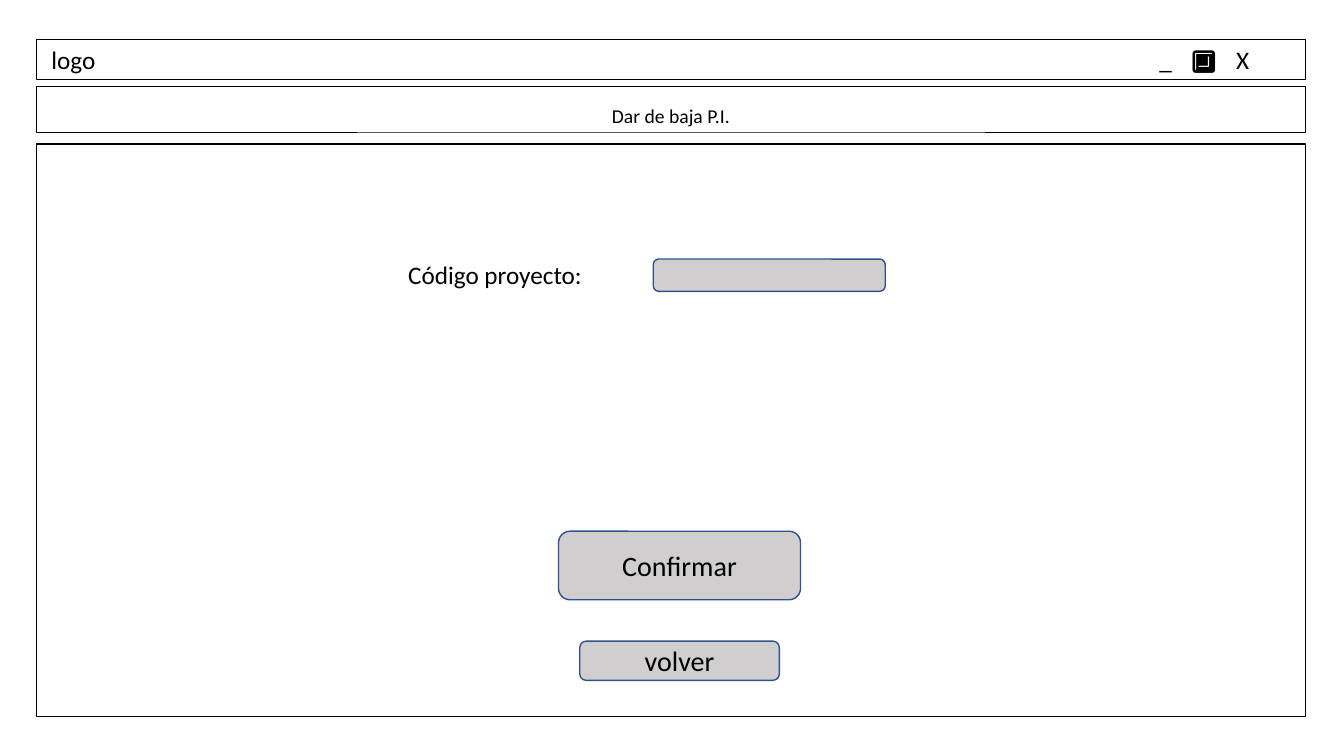
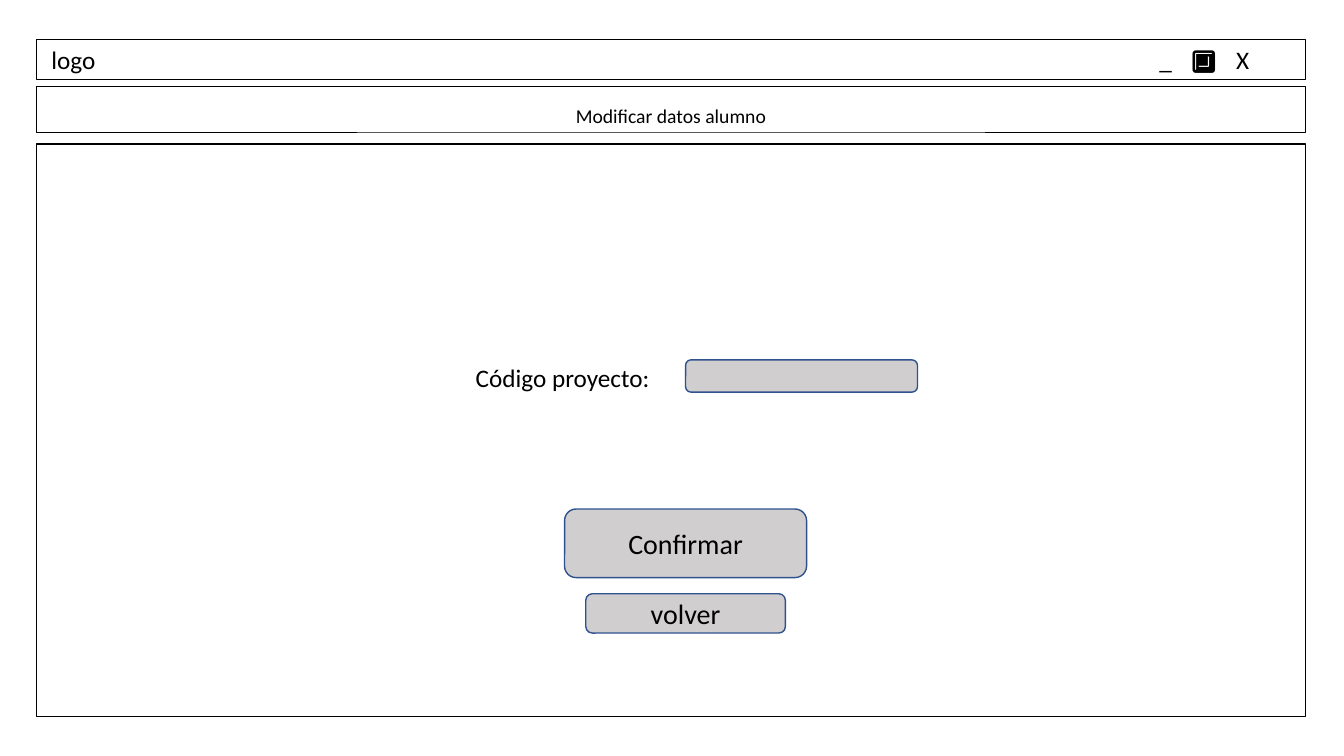
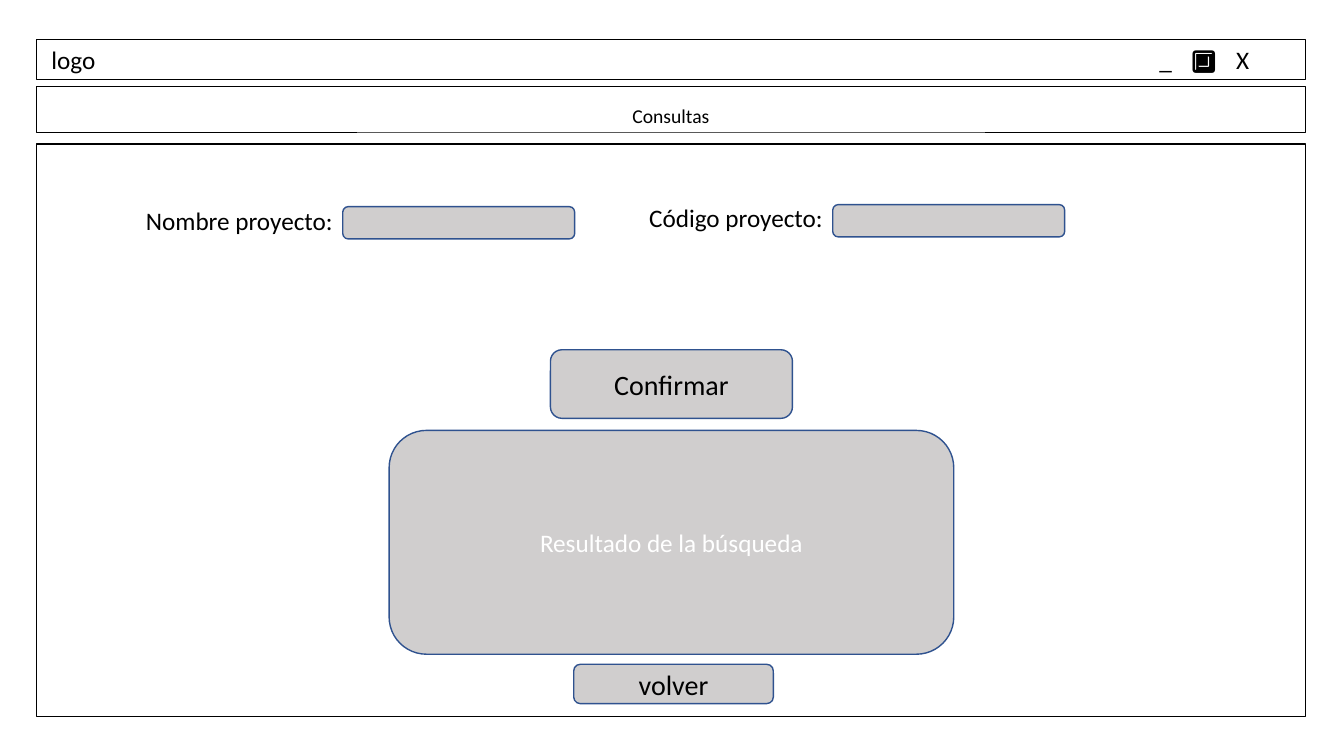
from lxml.etree import SubElement
from pptx import Presentation
from pptx.dml.color import RGBColor
from pptx.enum.shapes import MSO_SHAPE as Preset
from pptx.enum.text import MSO_ANCHOR as Anchor, MSO_AUTO_SIZE as AutoSize, PP_ALIGN as Align
from pptx.oxml.ns import qn
from pptx.util import Inches, Pt

COLORS = {"ink": "000000", "paper": "FFFFFF", "control": "D0CECE", "outline": "2F528F"}
FONT = "Calibri"

WINDOW_LEFT, WINDOW_WIDTH = 0.36, 12.59
BAR_BOX = (WINDOW_LEFT, 0.39, WINDOW_WIDTH, 0.4)
TITLE_BOX = (WINDOW_LEFT, 0.86, WINDOW_WIDTH, 0.45)
FRAME_BOX = (WINDOW_LEFT, 1.43, WINDOW_WIDTH, 5.68)
BAR_TABS = (10.99, 11.31, 11.75)
BAR_TEXT = "logo\t_\t🔲\tX"

LABEL_SIZE = (3.4, 0.4)
FIELD_SIZE = (2.3, 0.32)
CONFIRM_SIZE = (2.4, 0.68)
BACK_SIZE = (1.98, 0.39)
RESULT_BOX = (3.86, 4.27, 5.6, 2.22)

# Each field holds its label, the label position and the input position.
SCREENS = [
    {"title": "Dar de baja P.I.",
     "fields": [("Código proyecto:", (2.47, 2.52), (6.48, 2.57))],
     "confirm": (5.54, 5.27), "back": (5.75, 6.36)},
    {"title": "Modificar datos alumno",
     "fields": [("Código proyecto:", (3.14, 3.55), (6.8, 3.57))],
     "confirm": (5.6, 5.05), "back": (5.81, 5.89)},
    {"title": "Consultas",
     "fields": [("Nombre proyecto:", (0, 1.99), (3.4, 2.05)),
                ("Código proyecto:", (4.86, 1.96), (8.26, 2.03))],
     "confirm": (5.46, 3.47), "back": (5.69, 6.59),
     "result": "Resultado de la búsqueda"},
]


def rgb(name):
    """Return the named colour."""
    return RGBColor.from_string(COLORS[name])


def set_format(target, values):
    """Set each attribute named in values on target."""
    for name, value in values.items():
        setattr(target, name, value)


def write(shape, text, size=18, color="ink", align=Align.LEFT, anchor=Anchor.TOP, spacing=1.0):
    """Put one formatted paragraph in a shape and return the paragraph."""
    frame = shape.text_frame
    set_format(frame, {"text": text, "word_wrap": True, "vertical_anchor": anchor,
                       "auto_size": AutoSize.NONE})
    paragraph = frame.paragraphs[0]
    set_format(paragraph, {"alignment": align, "line_spacing": spacing})
    set_format(paragraph.font, {"name": FONT, "size": Pt(size)})
    paragraph.font.color.rgb = rgb(color)
    return paragraph


def set_outline(shape, color, width):
    """Give a shape a solid outline."""
    shape.line.color.rgb = rgb(color)
    shape.line.width = Pt(width)


def add_box(slide, box, preset=Preset.RECTANGLE, fill=None, line="ink", width=1):
    """Add a flat preset shape, unfilled unless a fill is named."""
    shape = slide.shapes.add_shape(preset, *map(Inches, box))
    shape.shadow.inherit = False
    if fill:
        shape.fill.solid()
        shape.fill.fore_color.rgb = rgb(fill)
    else:
        shape.fill.background()
    set_outline(shape, line, width)
    return shape


def add_control(slide, box, text=None, size=20, color="ink"):
    """Add a rounded grey control, with a centred caption if there is one."""
    control = add_box(slide, box, Preset.ROUNDED_RECTANGLE, "control", "outline")
    if text:
        write(control, text, size, color, Align.CENTER, Anchor.MIDDLE)


def add_label(slide, position, text):
    """Add a right-aligned field label."""
    label = slide.shapes.add_textbox(*map(Inches, position + LABEL_SIZE))
    write(label, text, align=Align.RIGHT)


def add_window_bar(slide):
    """Add the top bar, its window buttons placed by tab stops."""
    bar = add_box(slide, BAR_BOX, width=0.25)
    paragraph = write(bar, BAR_TEXT)
    bar.text_frame.margin_left = Inches(0.15)
    properties = paragraph._p.get_or_add_pPr()
    tab_list = SubElement(properties, qn("a:tabLst"))
    for stop in BAR_TABS:
        SubElement(tab_list, qn("a:tab"), pos=str(Inches(stop)), algn="l")
    # The schema wants tab stops ahead of the default run properties.
    defaults = properties.find(qn("a:defRPr"))
    if defaults is not None:
        defaults.addprevious(tab_list)
    for run in paragraph.runs:
        set_format(run.font, {"name": FONT, "size": Pt(18)})
        run.font.color.rgb = rgb("ink")


def place_title(slide, text):
    """Move the title placeholder into its outlined band."""
    title = slide.shapes.title
    edges = ("left", "top", "width", "height")
    set_format(title, dict(zip(edges, map(Inches, TITLE_BOX))))
    set_outline(title, "ink", 0.25)
    paragraph = write(title, text, 14, align=Align.CENTER, spacing=1.5)
    set_format(paragraph.runs[0].font, {"name": FONT, "size": Pt(14)})


def build_screen(presentation, screen):
    """Add one window mock-up slide."""
    slide = presentation.slides.add_slide(presentation.slide_layouts[5])
    add_window_bar(slide)
    add_box(slide, FRAME_BOX)
    place_title(slide, screen["title"])
    for text, label_position, field_position in screen["fields"]:
        add_label(slide, label_position, text)
        add_control(slide, field_position + FIELD_SIZE)
    add_control(slide, screen["confirm"] + CONFIRM_SIZE, "Confirmar")
    if "result" in screen:
        add_control(slide, RESULT_BOX, screen["result"], 18, "paper")
    add_control(slide, screen["back"] + BACK_SIZE, "volver")


def main():
    """Build and save the presentation."""
    presentation = Presentation()
    set_format(presentation, {"slide_width": Inches(13.33), "slide_height": Inches(7.5)})
    for screen in SCREENS:
        build_screen(presentation, screen)
    presentation.save("out.pptx")


main()
